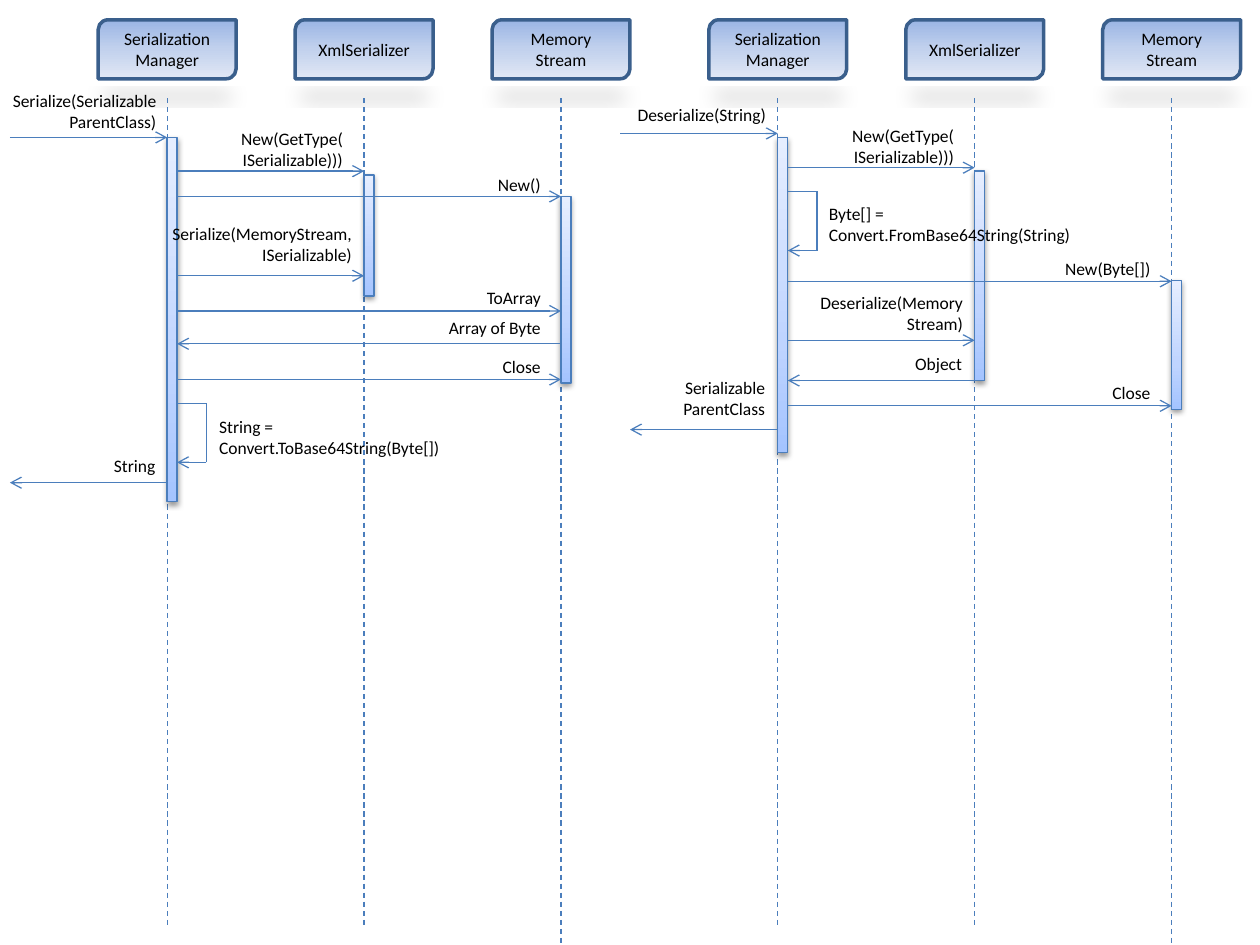
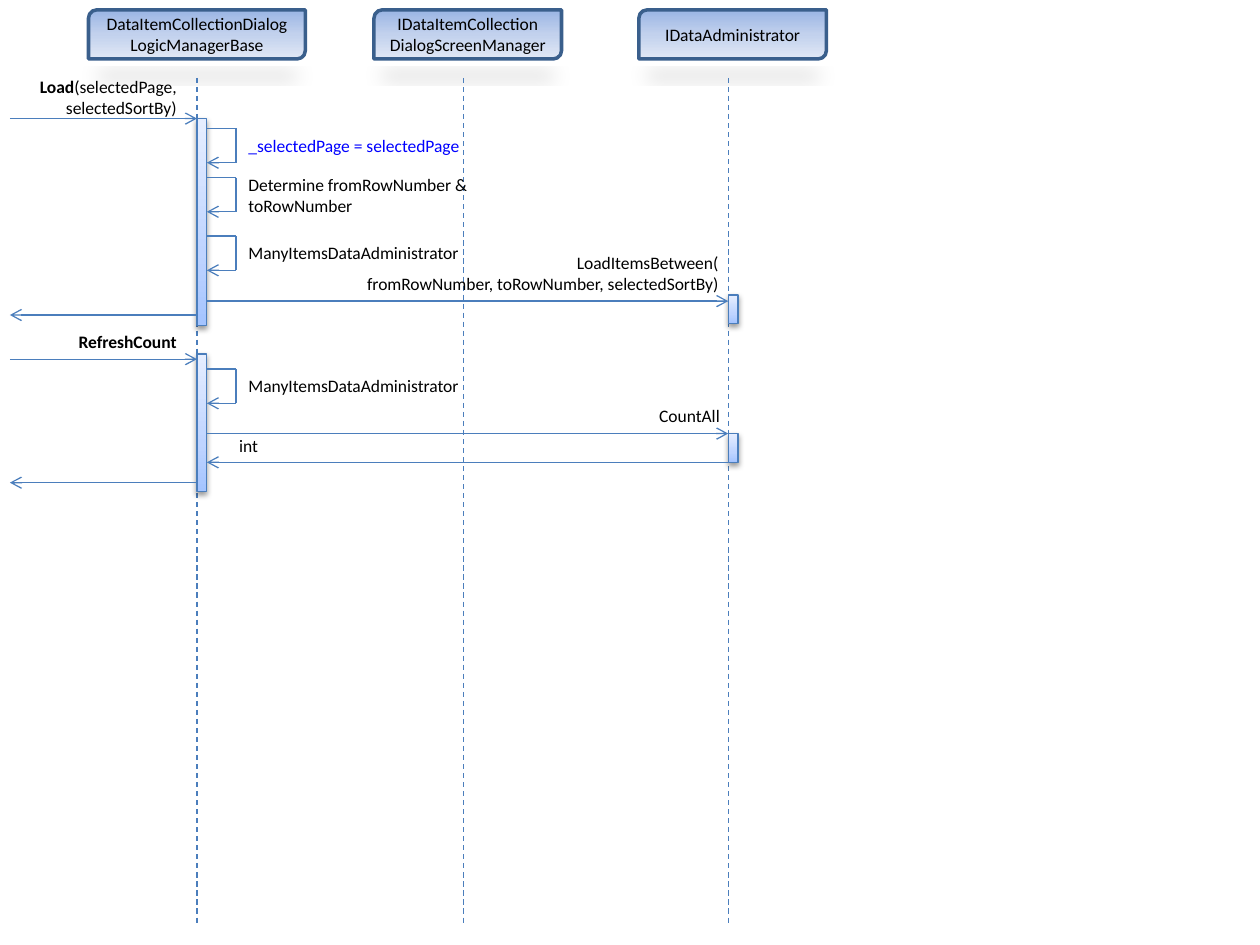
from dataclasses import dataclass
from typing import NamedTuple

from lxml.etree import SubElement
from pptx import Presentation
from pptx.dml.color import RGBColor
from pptx.enum.dml import MSO_LINE
from pptx.enum.shapes import MSO_CONNECTOR, MSO_SHAPE
from pptx.enum.text import MSO_ANCHOR, MSO_AUTO_SIZE, PP_ALIGN
from pptx.oxml.ns import qn
from pptx.util import Cm, Pt

BLACK = RGBColor(0x00, 0x00, 0x00)
BLUE = RGBColor(0x00, 0x00, 0xFF)
LINE_BLUE = RGBColor(0x4B, 0x7E, 0xBC)
HEAD_EDGE = RGBColor(0x3A, 0x5F, 0x8C)
HEAD_STOPS = [(0, RGBColor(0x9A, 0xB5, 0xE4)), (50, RGBColor(0xC2, 0xD1, 0xED)),
              (100, RGBColor(0xE1, 0xE8, 0xF5))]
BAR_STOPS = [(0, RGBColor(0xA4, 0xC4, 0xFF)), (35, RGBColor(0xBF, 0xD4, 0xFF)),
             (100, RGBColor(0xE6, 0xEE, 0xFF))]
FONT = "Calibri"
TEXT_SIZE = Pt(10)

# Shared measures, in centimetres
BAR_WIDTH = 0.2
LOOP_WIDTH = 0.59
ONE_LINE, TWO_LINES = 0.69, 1.12
LIFELINE_END = 18.65
PAGE_WIDTH, PAGE_HEIGHT = 25.4, 19.05


class Shadow(NamedTuple):
    alpha: int
    blur: float
    distance: float
    scale: dict[str, str]


HEAD_SHADOW = Shadow(15, 12, 7, {"sx": "90000", "sy": "-19000"})
BAR_SHADOW = Shadow(38, 3.1, 1.6, {})


class HeadRow(NamedTuple):
    top: float
    height: float
    line_top: float


class Bar(NamedTuple):
    top: float
    height: float


@dataclass
class Participant:
    name: str
    x: float
    head_width: float
    bars: list[Bar]
    head_shift: float = 0
    line_end: float = LIFELINE_END


@dataclass
class Label:
    text: str
    left: float
    top: float
    width: float
    height: float = ONE_LINE
    align: PP_ALIGN = PP_ALIGN.RIGHT
    bold: str = ""
    color: RGBColor = BLACK


@dataclass
class Message:
    start: float
    end: float
    y: float
    label: Label | None = None


@dataclass
class SelfCall:
    x: float
    top: float
    height: float
    label: Label


def set_gradient(shape, stops, angle: int) -> None:
    shape.fill.solid()
    properties = shape._element.spPr
    gradient = properties.makeelement(qn("a:gradFill"), {"rotWithShape": "1"})
    stop_list = SubElement(gradient, qn("a:gsLst"))
    for position, color in stops:
        stop = SubElement(stop_list, qn("a:gs"), pos=str(position * 1000))
        SubElement(stop, qn("a:srgbClr"), val=str(color))
    SubElement(gradient, qn("a:lin"), ang=str(angle * 60000), scaled="0")
    properties.replace(properties.find(qn("a:solidFill")), gradient)


def set_shadow(shape, shadow: Shadow) -> None:
    shape.shadow.inherit = False
    effects = shape._element.spPr.find(qn("a:effectLst"))
    outer = SubElement(effects, qn("a:outerShdw"), blurRad=str(int(Pt(shadow.blur))),
                       dist=str(int(Pt(shadow.distance))), dir="5400000",
                       rotWithShape="0", **shadow.scale)
    color = SubElement(outer, qn("a:srgbClr"), val=str(BLACK))
    SubElement(color, qn("a:alpha"), val=str(shadow.alpha * 1000))


def format_text(frame, align: PP_ALIGN, color: RGBColor = BLACK) -> None:
    frame.word_wrap = True
    for para in frame.paragraphs:
        para.alignment = align
        for span in para.runs:
            span.font.name = FONT
            span.font.size = TEXT_SIZE
            span.font.color.rgb = color


def add_box(page, kind, left: float, top: float, width: float, height: float,
            edge: RGBColor, weight: float):
    box = page.shapes.add_shape(kind, Cm(left), Cm(top), Cm(width), Cm(height))
    box.line.color.rgb = edge
    box.line.width = Pt(weight)
    return box


def add_line(page, x1: float, y1: float, x2: float, y2: float,
             arrow: bool = False, dashed: bool = False) -> None:
    line = page.shapes.add_connector(MSO_CONNECTOR.STRAIGHT, Cm(x1), Cm(y1), Cm(x2), Cm(y2))
    line.line.color.rgb = LINE_BLUE
    line.line.width = Pt(0.75)
    if dashed:
        line.line.dash_style = MSO_LINE.DASH
    if arrow:
        SubElement(line.line._get_or_add_ln(), qn("a:tailEnd"), type="arrow")
    SubElement(line._element.spPr, qn("a:effectLst"))


def add_label(page, label: Label) -> None:
    box = page.shapes.add_textbox(Cm(label.left), Cm(label.top), Cm(label.width), Cm(label.height))
    frame = box.text_frame
    frame.text = label.bold or label.text
    if label.bold:
        frame.paragraphs[0].runs[0].font.bold = True
        if label.text:
            frame.paragraphs[0].add_run().text = label.text
    format_text(frame, label.align, label.color)
    frame.auto_size = MSO_AUTO_SIZE.SHAPE_TO_FIT_TEXT


def add_participant(page, person: Participant, row: HeadRow) -> None:
    left = person.x - person.head_width / 2 + person.head_shift
    head = add_box(page, MSO_SHAPE.ROUND_2_DIAG_RECTANGLE, left, row.top,
                   person.head_width, row.height, HEAD_EDGE, 2)
    set_gradient(head, HEAD_STOPS, 90)
    set_shadow(head, HEAD_SHADOW)
    head.text_frame.text = person.name
    head.text_frame.vertical_anchor = MSO_ANCHOR.MIDDLE
    format_text(head.text_frame, PP_ALIGN.CENTER)
    add_line(page, person.x, row.line_top, person.x, person.line_end, dashed=True)
    for bar in person.bars:
        box = add_box(page, MSO_SHAPE.RECTANGLE, person.x, bar.top, BAR_WIDTH,
                      bar.height, LINE_BLUE, 0.75)
        set_gradient(box, BAR_STOPS, 270)
        set_shadow(box, BAR_SHADOW)


def add_message(page, message: Message) -> None:
    add_line(page, message.start, message.y, message.end, message.y, arrow=True)
    if message.label:
        add_label(page, message.label)


def add_self_call(page, call: SelfCall) -> None:
    right, bottom = call.x + LOOP_WIDTH, call.top + call.height
    add_line(page, right, call.top, call.x, call.top)
    add_line(page, right, call.top, right, bottom)
    add_line(page, right, bottom, call.x, bottom, arrow=True)
    add_label(page, call.label)


def add_diagram(deck, row: HeadRow, people: list[Participant],
                messages: list[Message], calls: list[SelfCall]) -> None:
    page = deck.slides.add_slide(deck.slide_layouts[6])
    for person in people:
        add_participant(page, person, row)
    for message in messages:
        add_message(page, message)
    for call in calls:
        add_self_call(page, call)


def serialization_people(first_x: float, bars: list[Bar]) -> list[Participant]:
    names = ["Serialization\nManager", "XmlSerializer", "Memory\nStream"]
    ends = [LIFELINE_END, LIFELINE_END, PAGE_HEIGHT]
    return [Participant(name, first_x + 3.97 * index, 2.78, [bar], line_end=end)
            for index, (name, bar, end) in enumerate(zip(names, bars, ends))]


def add_serialization(deck) -> None:
    writers = serialization_people(3.37, [Bar(2.77, 7.34), Bar(3.53, 2.44), Bar(3.96, 3.76)])
    readers = serialization_people(15.68, [Bar(2.77, 6.35), Bar(3.45, 4.22), Bar(5.66, 2.59)])
    manager, serializer, stream = [person.x for person in writers]
    active = manager + BAR_WIDTH
    messages = [
        Message(0.2, manager, 2.77,
                Label("Serialize(Serializable\nParentClass)", -0.41, 1.68, 3.81, TWO_LINES)),
        Message(active, serializer, 3.45,
                Label("New(GetType(\nISerializable)))", 3.76, 2.46, 3.4, TWO_LINES)),
        Message(active, stream, 3.96, Label("New()", 8.74, 3.38, 2.41)),
        Message(active, serializer, 5.56,
                Label("Serialize(MemoryStream, ISerializable)", 3.15, 4.37, 4.19, TWO_LINES)),
        Message(active, stream, 6.27, Label("ToArray", 8.74, 5.66, 2.41)),
        Message(stream, active, 6.93, Label("Array of Byte", 7.34, 6.27, 3.81)),
        Message(active, stream, 7.65, Label("Close", 8.74, 7.06, 2.41)),
        Message(manager, 0.2, 9.73, Label("String", 0.97, 9.04, 2.41)),
    ]
    calls = [SelfCall(active, 8.13, 1.19,
                      Label("String = Convert.ToBase64String(Byte[])", 4.17, 8.26, 5.94,
                            TWO_LINES, PP_ALIGN.LEFT))]

    # Reading half
    manager, serializer, stream = [person.x for person in readers]
    active = manager + BAR_WIDTH
    messages += [
        Message(12.5, manager, 2.69, Label("Deserialize(String)", 10.31, 1.98, 5.38)),
        Message(active, serializer, 3.38,
                Label("New(GetType(\nISerializable)))", 16.08, 2.39, 3.4, TWO_LINES)),
        Message(active, stream, 5.67, Label("New(Byte[])", 21.03, 5.08, 2.41)),
        Message(active, serializer, 6.86,
                Label("Deserialize(Memory Stream)", 15.47, 5.77, 4.19, TWO_LINES)),
        Message(serializer, active, 7.67, Label("Object", 15.47, 6.99, 4.17)),
        Message(manager, 12.7, 8.66,
                Label("Serializable\nParentClass", 11.71, 7.47, 3.96, TWO_LINES)),
        Message(active, stream, 8.18, Label("Close", 21.03, 7.57, 2.41)),
    ]
    calls.append(SelfCall(active, 3.86, 1.19,
                          Label("Byte[] = Convert.FromBase64String(String)", 16.46, 3.96, 5.94,
                                TWO_LINES, PP_ALIGN.LEFT)))
    add_diagram(deck, HeadRow(0.4, 1.19, 1.98), writers + readers, messages, calls)


def add_data_loading(deck) -> None:
    logic, screen, data = 3.97, 9.34, 14.68
    active = logic + BAR_WIDTH
    people = [
        Participant("DataItemCollectionDialogLogicManagerBase", logic, 4.37,
                    [Bar(2.39, 4.17), Bar(7.14, 2.77)]),
        Participant("IDataItemCollection\nDialogScreenManager", screen, 3.78, [], 0.09),
        Participant("IDataAdministrator", data, 3.78, [Bar(5.95, 0.58), Bar(8.74, 0.58)], 0.09),
    ]
    messages = [
        Message(0.2, logic, 2.39, Label("(selectedPage, selectedSortBy)", 0, 1.4, 3.81,
                                        TWO_LINES, bold="Load")),
        Message(active, data, 6.07,
                Label("LoadItemsBetween(\nfromRowNumber, toRowNumber, selectedSortBy)",
                      6.93, 4.95, 7.8, TWO_LINES)),
        Message(logic, 0.2, 6.35),
        Message(0.2, logic, 7.24, Label("", -0.58, 6.55, 4.39, bold="RefreshCount")),
        Message(active, data, 8.74, Label("CountAll", 12.7, 8.05, 2.06)),
        Message(data, active, 9.32, Label("int", 4.57, 8.64, 2.06, align=PP_ALIGN.LEFT)),
        Message(logic, 0.2, 9.73),
    ]
    left = active + LOOP_WIDTH
    administrator = "ManyItemsDataAdministrator"
    labels = [
        (2.59, Label("_selectedPage = selectedPage", left, 2.59, 5.94,
                     align=PP_ALIGN.LEFT, color=BLUE)),
        (3.58, Label("Determine fromRowNumber & toRowNumber", left, 3.38, 5.56,
                     TWO_LINES, PP_ALIGN.LEFT)),
        (4.76, Label(administrator, left, 4.76, 5.16, align=PP_ALIGN.LEFT)),
        (7.44, Label(administrator, left, 7.44, 5.16, align=PP_ALIGN.LEFT)),
    ]
    calls = [SelfCall(active, top, 0.69, label) for top, label in labels]
    add_diagram(deck, HeadRow(0.2, 0.99, 1.57), people, messages, calls)


def main() -> None:
    deck = Presentation()
    deck.slide_width, deck.slide_height = Cm(PAGE_WIDTH), Cm(PAGE_HEIGHT)
    add_serialization(deck)
    add_data_loading(deck)
    deck.save("out.pptx")


if __name__ == "__main__":
    main()
